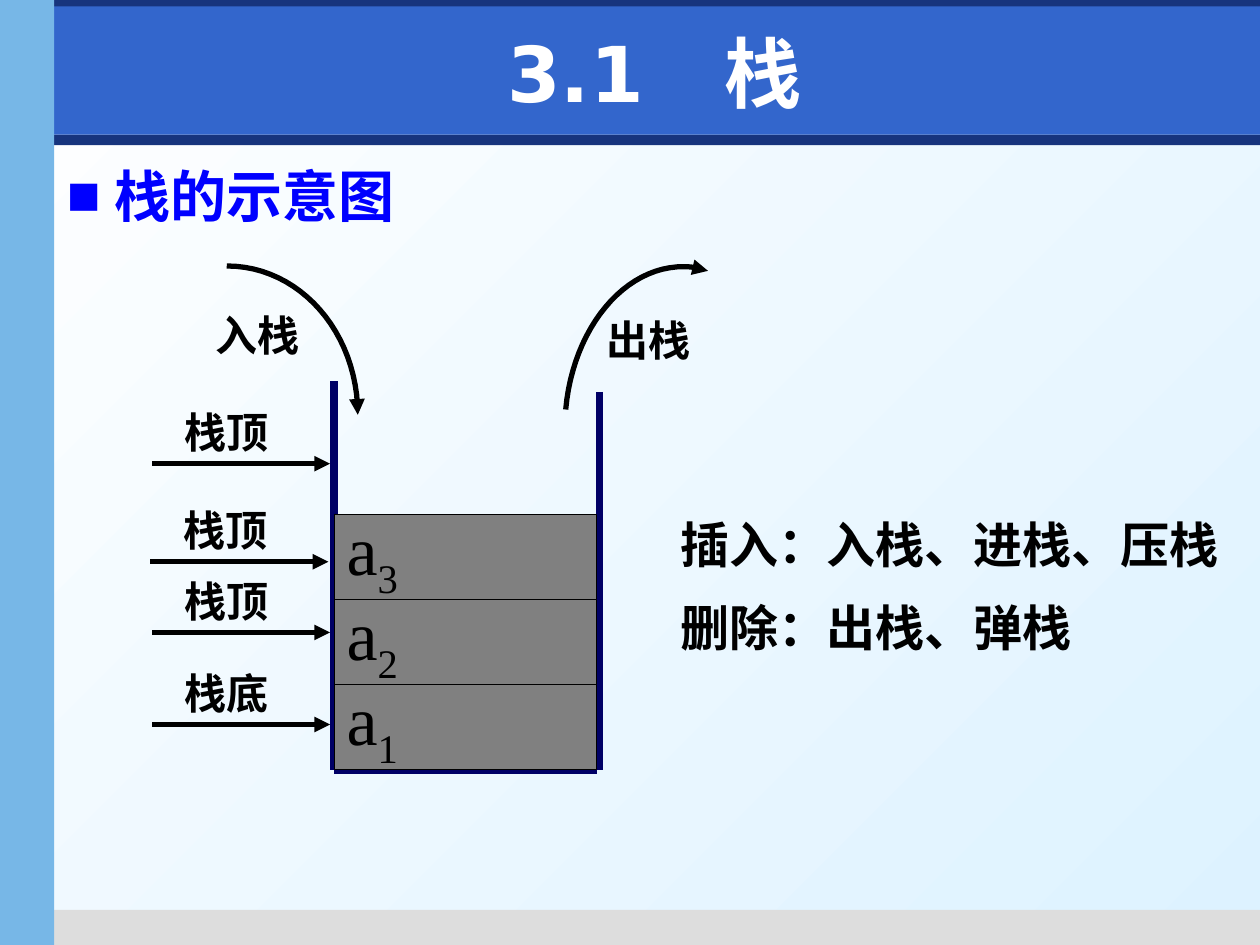
from pptx import Presentation
from pptx.dml.color import RGBColor as Rgb
from pptx.enum.shapes import MSO_CONNECTOR as Connector, MSO_SHAPE as Shape
from pptx.enum.text import MSO_ANCHOR as Anchor, MSO_AUTO_SIZE as AutoSize, PP_ALIGN as Align
from pptx.oxml.ns import qn
from pptx.util import Pt
from lxml.etree import SubElement

THEME = {
    "navy": "17347D", "band": "3366CC", "side": "77B7E7", "foot": "DDDDDD",
    "wall": "000066", "cell": "808080", "ink": "000000", "title": "FFFFFF",
    "heading": "0000FF", "back": ("FFFFFF", "DDF2FF"),
    "title_font": "DejaVu Sans", "heading_font": "Arial", "font": "Times New Roman",
    "title_size": 44, "heading_size": 32, "label_size": 24, "note_size": 28, "item_size": 40,
}
BANDS = [
    ("navy", (3, 77, 717, 6)),
    ("foot", (25, 520, 695, 20)),
    ("navy", (0, 0, 720, 15)),
    ("band", (31, 3.6, 689, 73.4)),
    ("side", (0, 0, 31, 540)),
]
TITLE = [("3.1", {}), (" ", {"spc": 3060}), ("栈", {})]
HEADING = [("栈的示意图", {})]
ITEMS = ["3", "2", "1"]
POINTERS = [("栈顶", 87, 265), ("栈顶", 86, 321), ("栈顶", 87, 361.4), ("栈底", 87, 414)]
MOVES = [
    ("入栈", (116, 173.5, 70, 36),
     [[(129.6, 152), (171.4, 152), (204.5, 190), (204.5, 237)]]),
    ("出栈", (339.4, 176.4, 66, 36),
     [[(323.3, 234), (327.6, 187.2), (357, 152), (391, 152.4)],
      [(391, 152.4), (395.7, 152.4), (400.3, 153.4), (404.6, 154.8)]]),
]
NOTES = ["插入：入栈、进栈、压栈", "删除：出栈、弹栈"]
CELL_LEFT, CELL_TOP, CELL_WIDTH, CELL_HEIGHT = 191, 293.8, 150, 48.6
FLOOR = CELL_TOP + CELL_HEIGHT * len(ITEMS) + 0.4
WALLS = [((191, 218), (191, FLOOR)), ((191, FLOOR), (341, FLOOR)), ((342.6, 224), (342.6, FLOOR))]
POINTER_LENGTH, LABEL_INDENT, LABEL_HEIGHT = 101.6, 11.6, 36
CURVE_STEPS = 24


def color(name):
    return Rgb.from_string(THEME[name])


def write(para, spans, *, size, font="font", ink="ink", bold=True, align=Align.LEFT, before=0):
    para.alignment = align
    para.space_before = Pt(before)
    for text, attributes in spans:
        span = para.add_run()
        span.text = text
        span.font.size = Pt(THEME[size])
        span.font.name = THEME[font]
        span.font.bold = bold
        span.font.color.rgb = color(ink)
        for name, value in attributes.items():
            span._r.get_or_add_rPr().set(name, str(value))


def add_rect(page, box, fill):
    rect = page.shapes.add_shape(Shape.RECTANGLE, *map(Pt, box))
    rect.shadow.inherit = False
    rect.fill.solid()
    rect.fill.fore_color.rgb = color(fill)
    rect.line.fill.background()
    return rect


def add_text(page, box, lines, size):
    frame = page.shapes.add_textbox(*map(Pt, box)).text_frame
    frame.word_wrap = True
    for index, text in enumerate(lines):
        para = frame.add_paragraph() if index else frame.paragraphs[0]
        write(para, [(text, {})], size=size, before=THEME[size] / 2 if index else 0)


def style_line(line, ink, width, arrow=False):
    line.color.rgb = color(ink)
    line.width = Pt(width)
    if arrow:
        SubElement(line._get_or_add_ln(), qn("a:tailEnd"), type="triangle")


def add_line(page, start, end, ink, width, arrow=False):
    link = page.shapes.add_connector(Connector.STRAIGHT, *map(Pt, start + end))
    style_line(link.line, ink, width, arrow)
    SubElement(link._element.spPr, qn("a:effectLst"))


def curve_point(curve, t):
    weights = ((1 - t) ** 3, 3 * t * (1 - t) ** 2, 3 * t * t * (1 - t), t ** 3)
    return tuple(Pt(sum(w * point[axis] for w, point in zip(weights, curve))) for axis in (0, 1))


def add_curve(page, curves):
    start = curve_point(curves[0], 0)
    points = [curve_point(curve, step / CURVE_STEPS)
              for curve in curves for step in range(1, CURVE_STEPS + 1)]
    builder = page.shapes.build_freeform(*start)
    builder.add_line_segments(points, close=False)
    arc = builder.convert_to_shape()
    arc.shadow.inherit = False
    arc.fill.background()
    style_line(arc.line, "ink", 3, arrow=True)


def place(holder, box):
    holder.left, holder.top, holder.width, holder.height = map(Pt, box)
    holder.text_frame.auto_size = AutoSize.NONE
    holder._element.getparent().append(holder._element)
    return holder.text_frame


def add_frame(page):
    fill = page.background.fill
    fill.gradient()
    fill.gradient_angle = 315
    for stop, value in zip(fill.gradient_stops, THEME["back"]):
        stop.color.rgb = Rgb.from_string(value)
    for name, box in BANDS:
        add_rect(page, box, name)


def add_headings(page):
    frame = place(page.shapes.title, (42.5, 9.4, 663, 62.6))
    frame.vertical_anchor = Anchor.MIDDLE
    write(frame.paragraphs[0], TITLE, size="title_size", font="title_font",
          ink="title", align=Align.CENTER)
    para = place(page.placeholders[1], (31, 88.6, 675, 424.8)).paragraphs[0]
    props = para._p.get_or_add_pPr()
    props.set("marL", str(Pt(27)))
    props.set("indent", str(Pt(-27)))
    tint = SubElement(props, qn("a:buClr"))
    SubElement(tint, qn("a:srgbClr"), val=THEME["heading"])
    SubElement(props, qn("a:buFont"), typeface=THEME["heading_font"])
    SubElement(props, qn("a:buChar"), char="■")
    write(para, HEADING, size="heading_size", font="heading_font", ink="heading")


def add_stack(page):
    for start, end in WALLS:
        add_line(page, start, end, "wall", 4.5)
    for row, index in enumerate(ITEMS):
        top = CELL_TOP + row * CELL_HEIGHT
        cell = add_rect(page, (CELL_LEFT, top, CELL_WIDTH, CELL_HEIGHT), "cell")
        style_line(cell.line, "ink", 0.75)
        frame = cell.text_frame
        frame.word_wrap = False
        frame.vertical_anchor = Anchor.MIDDLE
        frame.margin_top = 0
        write(frame.paragraphs[0], [("a", {}), (index, {"baseline": -25000})],
              size="item_size", bold=False)


def add_labels(page):
    for text, box, curves in MOVES:
        add_curve(page, curves)
        add_text(page, box, [text], "label_size")
    for text, left, level in POINTERS:
        add_line(page, (left, level), (left + POINTER_LENGTH, level), "ink", 3, arrow=True)
        add_text(page, (left + LABEL_INDENT, level - LABEL_HEIGHT, 72, LABEL_HEIGHT),
                 [text], "label_size")
    add_text(page, (381.6, 290.2, 324.7, 91.4), NOTES, "note_size")


def main():
    deck = Presentation()
    deck.slide_width, deck.slide_height = Pt(720), Pt(540)
    page = deck.slides.add_slide(deck.slide_layouts[1])
    add_frame(page)
    add_headings(page)
    add_stack(page)
    add_labels(page)
    deck.save("out.pptx")


if __name__ == "__main__":
    main()
